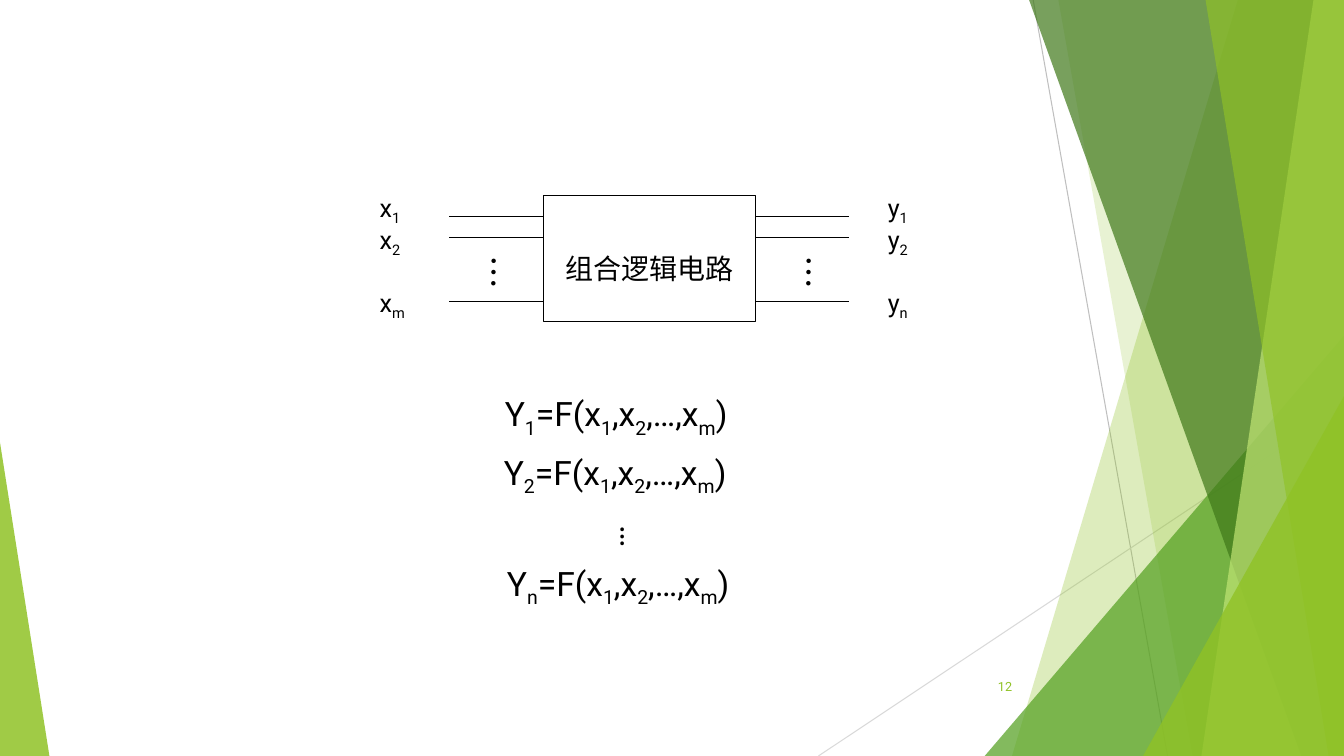
from lxml.etree import SubElement
from pptx import Presentation
from pptx.dml.color import RGBColor
from pptx.enum.shapes import MSO_CONNECTOR, MSO_SHAPE
from pptx.enum.text import MSO_ANCHOR, PP_ALIGN
from pptx.oxml.ns import qn
from pptx.util import Pt

rgb = RGBColor.from_string
prs = Presentation()
prs.slide_width, prs.slide_height = Pt(960), Pt(540)
s = prs.slides.add_slide(prs.slide_layouts[6])


def add_line(x1, y1, x2, y2, color):
    c = s.shapes.add_connector(MSO_CONNECTOR.STRAIGHT, Pt(x1), Pt(y1), Pt(x2), Pt(y2))
    c.line.color.rgb = rgb(color)
    c.line.width = Pt(0.75)
    SubElement(c._element.spPr, qn("a:effectLst"))


def add_text(x, y, w, h, text, size, font="Roboto", color="000000"):
    tb = s.shapes.add_textbox(Pt(x), Pt(y), Pt(w), Pt(h))
    tb.text_frame.word_wrap = True
    p = tb.text_frame.paragraphs[0]
    p.font.size, p.font.name = Pt(size), font
    p.font.color.rgb = rgb(color)
    for i, part in enumerate(text.split("_")):
        if part:
            r = p.add_run()
            r.text = part
            if i % 2:
                r._r.get_or_add_rPr().set("baseline", "-25000")
    return tb


add_line(738, 0, 834, 540, "BFBFBF")
add_line(960, 290, 584.6, 540, "D9D9D9")

facets = [
    ("band", (884.2, 722.9), "90C226", 30),
    ("band", (756, 851.8), "90C226", 20),
    ("triangle", (703.4, 239.8, 256.6, 300.2, 1), "54A021", 72),
    ("band", (735.1, 929.5), "3F7819", 70),
    ("band", (938.2, 858.2), "C0E474", 70),
    ("band", (861.1, 949), "90C226", 65),
    ("triangle", (816.5, 283, 143.5, 257, 1), "90C226", 80),
    ("triangle", (0, 316.1, 35.3, 223.9, 0), "90C226", 85),
]
for kind, geometry, color, alpha in facets:
    if kind == "band":
        top, bottom = geometry
        fb = s.shapes.build_freeform(Pt(top), 0)
        fb.add_line_segments([(Pt(960), 0), (Pt(960), Pt(540)), (Pt(bottom), Pt(540))])
        sp = fb.convert_to_shape()
    else:
        x, y, w, h, apex = geometry
        sp = s.shapes.add_shape(MSO_SHAPE.ISOSCELES_TRIANGLE, Pt(x), Pt(y), Pt(w), Pt(h))
        sp.adjustments[0] = apex
    sp.shadow.inherit = False
    sp.line.fill.background()
    sp.fill.solid()
    sp.fill.fore_color.rgb = rgb(color)
    clr = sp._element.spPr.find(qn("a:solidFill"))[0]
    SubElement(clr, qn("a:alpha")).set("val", str(alpha * 1000))

sp = s.shapes.add_shape(MSO_SHAPE.RECTANGLE, Pt(388), Pt(139.5), Pt(151.5), Pt(90.5))
sp.shadow.inherit = False
sp.fill.solid()
sp.fill.fore_color.rgb = rgb("FFFFFF")
sp.line.color.rgb = rgb("000000")
sp.line.width = Pt(0.75)
tf = sp.text_frame
tf.vertical_anchor = MSO_ANCHOR.MIDDLE
tf.margin_top = Pt(17)
p = tf.paragraphs[0]
p.text = "组合逻辑电路"
p.alignment = PP_ALIGN.CENTER
p.font.size, p.font.name = Pt(20), "Times New Roman"
p.font.color.rgb = rgb("000000")

for wire_x, label_x, dots_x, name, last in [
    (321, 264.2, 332.6, "x", "m"),
    (539.5, 627.1, 557.3, "y", "n"),
]:
    for wire_y, label_y, index in [(154.5, 133.9, "1"), (169.8, 156.6, "2"), (215.2, 201.6, last)]:
        add_line(wire_x, wire_y, wire_x + 67, wire_y, "000000")
        add_text(label_x, label_y, 33.8, 28.8, f"{name}_{index}", 18)
    dots = add_text(dots_x, 175.7, 39.6, 36, "…", 24, "Noto Sans CJK SC")
    dots.rotation = 270.8

for x, y, index in [(353.5, 277.2, "1"), (352.8, 319, "2"), (355, 398.2, "n")]:
    add_text(x, y, 195, 36, f"Y_{index}_=F(x_1_,x_2_,…,x_m_)", 24)

dots = add_text(427, 368.6, 43.9, 25.2, "…", 24)
dots.text_frame.word_wrap = False
dots.text_frame._txBody.bodyPr.set("vert", "eaVert")

number = add_text(676, 476, 54, 28.8, "12", 9, color="90C226")
number.text_frame.vertical_anchor = MSO_ANCHOR.MIDDLE
number.text_frame.paragraphs[0].alignment = PP_ALIGN.RIGHT

prs.save("out.pptx")
